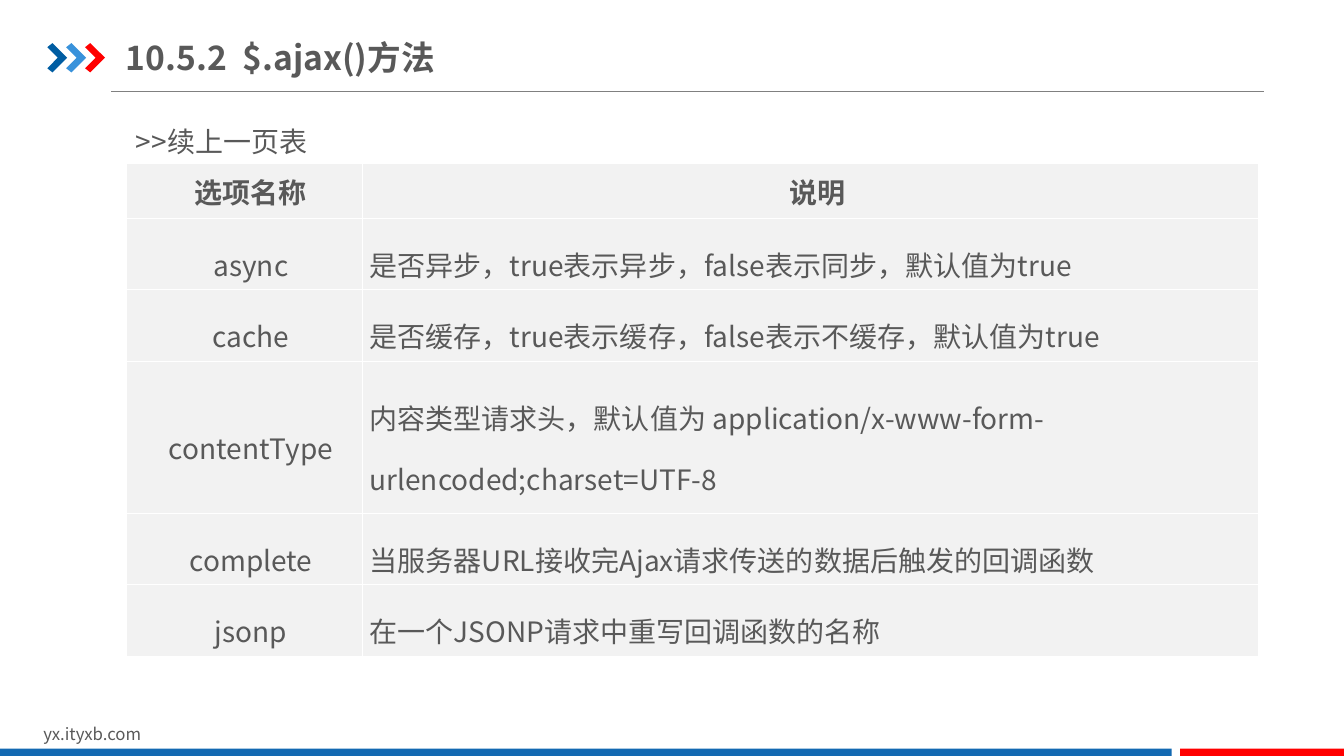
from lxml import etree
from pptx import Presentation
from pptx import util as u
from pptx.dml.color import RGBColor
from pptx.enum import shapes, text
from pptx.oxml import ns

PX = 9525
FONT = "Noto Sans CJK SC"
GREY = RGBColor(0x59, 0x59, 0x59)
RULE = RGBColor(0x80, 0x80, 0x80)
NAVY = RGBColor(0x00, 0x5D, 0xA2)
SKY = RGBColor(0x39, 0x92, 0xDB)
BLUE = RGBColor(0x13, 0x69, 0xB2)
RED = RGBColor(0xFF, 0x00, 0x00)
PALE = RGBColor(0xF2, 0xF2, 0xF2)
WHITE = RGBColor(0xFF, 0xFF, 0xFF)

CHEVRON = [(0, 4), (5, 0), (19, 14), (5, 28), (0, 24), (10, 14)]
COLUMNS = [225, 854]
ROWS = [
    (52, "选项名称", "说明"),
    (68, "async", "是否异步，true表示异步，false表示同步，默认值为true"),
    (68, "cache", "是否缓存，true表示缓存，false表示不缓存，默认值为true"),
    (145, "contentType",
     "内容类型请求头，默认值为 application/x-www-form-urlencoded;charset=UTF-8"),
    (68, "complete", "当服务器URL接收完Ajax请求传送的数据后触发的回调函数"),
    (68, "jsonp", "在一个JSONP请求中重写回调函数的名称"),
]


def emu(box):
    """Turn px lengths into EMU."""
    return [length * PX for length in box]


def apply(target, formats):
    """Set each attribute named in the formats."""
    for name, value in formats.items():
        setattr(target, name, value)


def child(parent, tag, **attributes):
    """Add a drawing element to its parent."""
    return etree.SubElement(parent, ns.qn(tag), attributes)


def write(para, wording, size, bold=False, **formats):
    """Write one styled span in a paragraph."""
    apply(para, formats)
    span = para.add_run()
    span.text = wording
    apply(span.font, {"size": u.Pt(size), "bold": bold, "name": FONT})
    span.font.color.rgb = GREY
    child(span.font._element, "a:ea", typeface=FONT)


def add_text(page, box, wording, size, frame_formats=None, **formats):
    """Place a text box holding one paragraph."""
    frame = page.shapes.add_textbox(*emu(box)).text_frame
    apply(frame, {"word_wrap": True, **(frame_formats or {})})
    write(frame.paragraphs[0], wording, size, **formats)
    return frame.paragraphs[0]


def paint(shape, color):
    """Give a shape a plain fill."""
    shape.shadow.inherit = False
    shape.fill.solid()
    shape.fill.fore_color.rgb = color
    shape.line.fill.background()


def add_header(page, box):
    """Draw the chevrons, the title and the rule."""
    left, top, width, height = box
    for index, color in enumerate([NAVY, SKY, RED]):
        points = [(left + 18 * index + x, top + 13 + y) for x, y in CHEVRON]
        builder = page.shapes.build_freeform(*points[0], scale=PX)
        builder.add_line_segments(points[1:], close=True)
        paint(builder.convert_to_shape(), color)
    inset = {"margin_left": 0, "margin_right": 0, "margin_top": 7 * PX,
             "margin_bottom": 7 * PX, "vertical_anchor": text.MSO_ANCHOR.MIDDLE}
    para = add_text(page, (left + 75, top, 409, 53), "10.5.2\t$.ajax()方法", 24,
                    inset, bold=True)
    stops = child(para._p.get_or_add_pPr(), "a:tabLst")
    child(stops, "a:tab", pos=str(111 * PX), algn="l")
    rule = page.shapes.add_connector(
        shapes.MSO_CONNECTOR.STRAIGHT,
        *emu((left + 61, top + height, left + width, top + height)))
    rule.line.width = u.Pt(0.75)
    rule.line.color.rgb = RULE
    child(rule._element.spPr, "a:effectLst")


def add_border(cell):
    """Draw white lines on the four sides of a cell."""
    properties = cell._tc.get_or_add_tcPr()
    for index, side in enumerate("LRTB"):
        line = child(properties, "a:ln" + side, w=str(u.Pt(1)))
        child(child(line, "a:solidFill"), "a:srgbClr", val=str(WHITE))
        properties.insert(index, line)


def add_options(page, box):
    """Draw the caption and the table of options."""
    left, top, width, height = box
    add_text(page, (left, top, 211, 58), ">>续上一页表", 20, line_spacing=1.5)
    table = page.shapes.add_table(
        len(ROWS), len(COLUMNS),
        *emu((left, top + 58, width, height - 58))).table
    apply(table, {"first_row": False, "horz_banding": False})
    for column, length in zip(table.columns, COLUMNS):
        column.width = length * PX
    for number, (length, *wordings) in enumerate(ROWS):
        table.rows[number].height = length * PX
        for place, wording in enumerate(wordings):
            cell = table.cell(number, place)
            apply(cell, {"margin_left": 7 * PX, "margin_right": 7 * PX,
                         "margin_top": 0, "margin_bottom": 0,
                         "vertical_anchor": text.MSO_ANCHOR.MIDDLE})
            cell.fill.solid()
            cell.fill.fore_color.rgb = PALE
            add_border(cell)
            heading = number == 0
            centred = heading or place == 0
            para = cell.text_frame.paragraphs[0]
            align = text.PP_ALIGN.CENTER if centred else text.PP_ALIGN.LEFT
            write(para, wording, 20, heading, alignment=align,
                  line_spacing=1.0 if heading else 1.5)
            if centred:
                para._p.get_or_add_pPr().set("indent", str(13 * PX))


def add_footer(page, box):
    """Draw the web address and the two bars."""
    left, top, width, height = box
    add_text(page, (left + 32, top, 305, 28), "yx.ityxb.com", 12)
    for start, end, color in [(0, 1116, BLUE), (1124, width, RED)]:
        bar = page.shapes.add_shape(
            shapes.MSO_SHAPE.RECTANGLE,
            *emu((left + start, top + height - 7, end - start, 7)))
        paint(bar, color)


def main():
    """Build and save the deck."""
    deck = Presentation()
    apply(deck, {"slide_width": 1280 * PX, "slide_height": 720 * PX})
    page = deck.slides.add_slide(deck.slide_layouts[6])
    add_header(page, (45, 28, 1159, 59))
    add_footer(page, (0, 685, 1280, 35))
    add_options(page, (120, 98, 1079, 527))
    deck.save("out.pptx")


if __name__ == "__main__":
    main()
